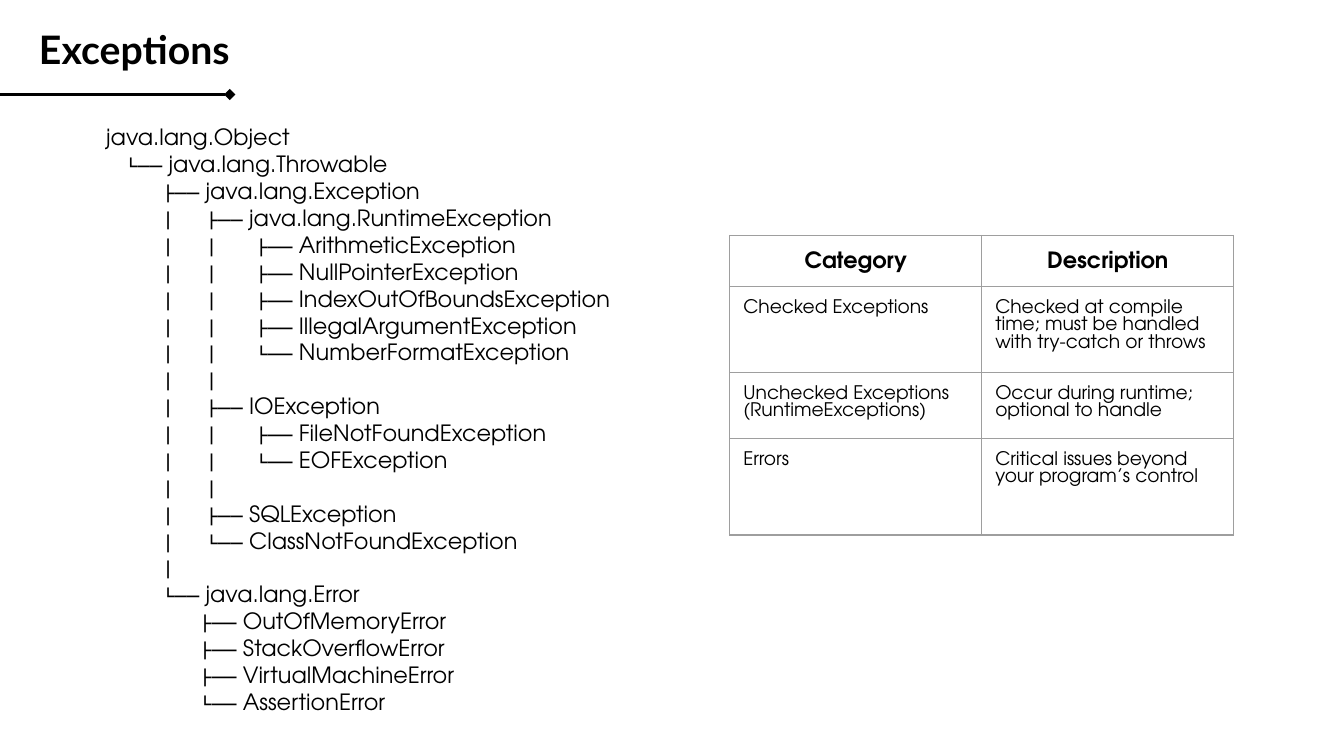
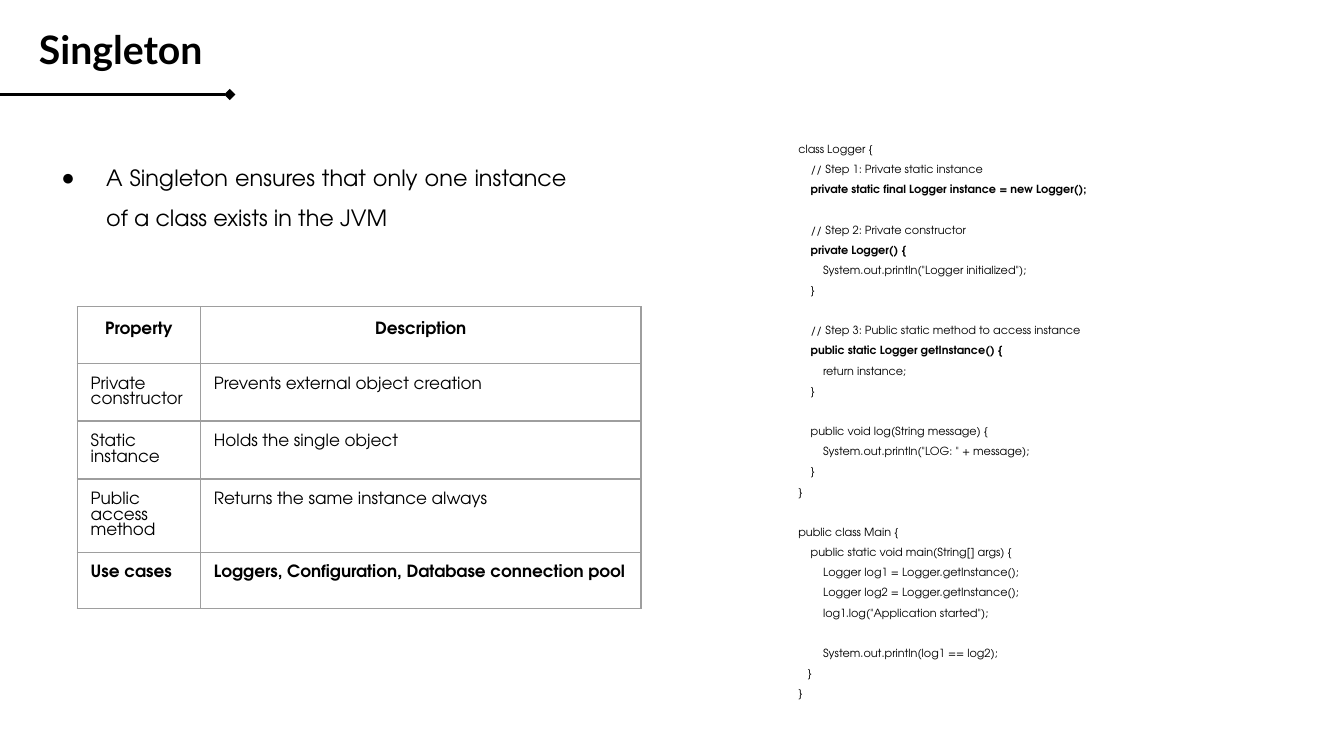
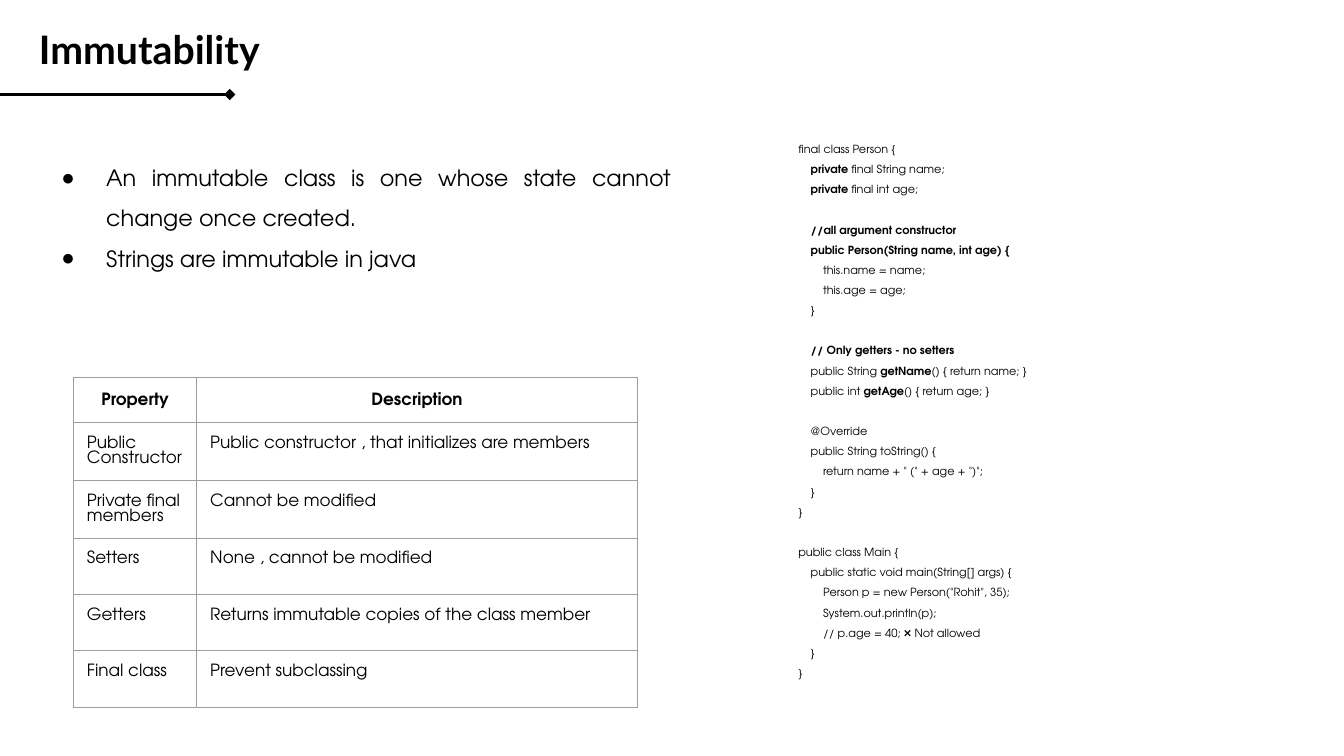
from lxml.etree import SubElement
from pptx import Presentation
from pptx.dml.color import RGBColor
from pptx.enum.shapes import MSO_CONNECTOR, MSO_SHAPE
from pptx.enum.text import MSO_ANCHOR, MSO_AUTO_SIZE, PP_ALIGN
from pptx.oxml import parse_xml
from pptx.oxml.ns import nsdecls, qn
from pptx.util import Pt

BLACK, WHITE, GRID = "000000", "FFFFFF", "9E9E9E"
TITLE_FONT, TEXT_FONT = "Lato", "TeX Gyre Adventor"
MARGIN = 20.9
INDENT = 36
RULE_Y = 50.6
CODE_LINE = 10.8

TREE = """\
java.lang.Object
   └── java.lang.Throwable
         ├── java.lang.Exception
         │     ├── java.lang.RuntimeException
         │     │      ├── ArithmeticException
         │     │      ├── NullPointerException
         │     │      ├── IndexOutOfBoundsException
         │     │      ├── IllegalArgumentException
         │     │      └── NumberFormatException
         │     │
         │     ├── IOException
         │     │      ├── FileNotFoundException
         │     │      └── EOFException
         │     │
         │     ├── SQLException
         │     └── ClassNotFoundException
         │
         └── java.lang.Error
               ├── OutOfMemoryError
               ├── StackOverflowError
               ├── VirtualMachineError
               └── AssertionError"""

# Text between asterisks is bold.
LOGGER_CODE = """\
class Logger {
    // Step 1: Private static instance
    *private static final Logger instance = new Logger();*

    // Step 2: Private constructor
    *private Logger() {*
        System.out.println("Logger initialized");
    }

    // Step 3: Public static method to access instance
    *public static Logger getInstance() {*
        return instance;
    }

    public void log(String message) {
        System.out.println("LOG: " + message);
    }
}

public class Main {
    public static void main(String[] args) {
        Logger log1 = Logger.getInstance();
        Logger log2 = Logger.getInstance();
        log1.log("Application started");

        System.out.println(log1 == log2);
   }
}"""

PERSON_CODE = """\
final class Person {
    *private *final String name;
    *private* final int age;

    *//all argument constructor*
    *public Person(String name, int age) {*
        this.name = name;
        this.age = age;
    }

    *// Only getters - no setters*
    public String *getName*() { return name; }
    public int *getAge*() { return age; }

    @Override
    public String toString() {
        return name + " (" + age + ")";
    }
}

public class Main {
    public static void main(String[] args) {
        Person p = new Person("Rohit", 35);
        System.out.println(p);
        // p.age = 40; ❌ Not allowed
    }
}"""

TREE_PANEL = dict(box=(MARGIN, 66.2, 322.6, 324.7), inset=0, size=12,
                  fmt=dict(alignment=PP_ALIGN.LEFT, line_spacing=1.0))
CODE_PANEL = dict(box=(391.7, 65.5, 283, 329), inset=7.1, size=6,
                  fmt=dict(alignment=PP_ALIGN.JUSTIFY, line_spacing=1.5))
BODY_INSET = 14.5
PROPERTY_COLS = (66, 236)

SLIDES = [
    dict(title="Exceptions", panel=TREE_PANEL, text=TREE, bullets=[],
         table=dict(at=(391, 126.2), cols=(135, 135), rows=(26.6, 46.1, 35.3, 51.8),
                    head_size=12, size=10, cells=[
             ("Category", "Description"),
             ("Checked Exceptions",
              "Checked at compile time; must be handled with try-catch or throws"),
             ("Unchecked Exceptions (RuntimeExceptions)",
              "Occur during runtime; optional to handle"),
             ("Errors", "Critical issues beyond your program’s control")])),
    dict(title="Singleton", panel=CODE_PANEL, text=LOGGER_CODE,
         body=(MARGIN, 66.2, 283, 301),
         bullets=["A Singleton ensures that only one instance of a class exists in the JVM"],
         table=dict(at=(41.4, 164.4), cols=PROPERTY_COLS, rows=[30.2] * 5,
                    head_size=9, size=9, cells=[
             ("Property", "Description"),
             ("Private constructor", "Prevents external object creation"),
             ("Static instance", "Holds the single object"),
             ("Public access method", "Returns the same instance always"),
             ("*Use cases*", "*Loggers, Configuration, Database connection pool*")])),
    dict(title="Immutability", panel=CODE_PANEL, text=PERSON_CODE,
         body=(MARGIN, 66.2, 339, 106.6),
         bullets=["An immutable class is one whose state cannot change once created.",
                  "Strings are immutable in java"],
         table=dict(at=(39.4, 202.4), cols=PROPERTY_COLS, rows=[23.4] + [30.2] * 5,
                    head_size=9, size=9, cells=[
             ("Property", "Description"),
             ("Public Constructor", "Public constructor , that initializes are members"),
             ("Private final members", "Cannot be modified"),
             ("Setters", "None , cannot be modified"),
             ("Getters", "Returns immutable copies of the class member"),
             ("Final class", "Prevent subclassing")])),
]


def rgb(value):
    return RGBColor.from_string(value)


def write(p, text, size, fmt, font=TEXT_FONT):
    """Format the paragraph and add its runs, bold between asterisks."""
    for name, value in fmt.items():
        setattr(p, name, value)
    for i, part in enumerate(text.split("*")):
        if part:
            r = p.add_run()
            r.text = part
            r.font.color.rgb = rgb(BLACK)
            for name, value in dict(name=font, size=Pt(size), bold=i % 2 == 1).items():
                setattr(r.font, name, value)


prs = Presentation()
prs.slide_width, prs.slide_height = Pt(720), Pt(405)

for data in SLIDES:
    s = prs.slides.add_slide(prs.slide_layouts[1 if data["bullets"] else 5])

    # Title and its underline
    title = s.shapes.title
    title.left, title.top, title.width, title.height = Pt(MARGIN), Pt(17.1), Pt(540), Pt(28.1)
    tf = title.text_frame
    for name, value in dict(margin_left=0, margin_top=0, margin_right=Pt(7.2),
                            margin_bottom=Pt(7.2), word_wrap=True,
                            auto_size=MSO_AUTO_SIZE.NONE,
                            vertical_anchor=MSO_ANCHOR.MIDDLE).items():
        setattr(tf, name, value)
    write(tf.paragraphs[0], f"*{data['title']}*", 21,
          dict(alignment=PP_ALIGN.LEFT, line_spacing=0.9), TITLE_FONT)

    line = s.shapes.add_connector(MSO_CONNECTOR.STRAIGHT, 0, Pt(RULE_Y), Pt(123.1), Pt(RULE_Y))
    line.line.color.rgb = rgb(BLACK)
    line.line.width = Pt(1.5)
    SubElement(line.line._get_or_add_ln(), qn("a:tailEnd"), type="diamond")
    SubElement(line._element.spPr, qn("a:effectLst"))

    # Text areas: the tree or code panel, and the bullets
    panel = data["panel"]
    sp = s.shapes.add_shape(MSO_SHAPE.RECTANGLE, *[Pt(v) for v in panel["box"]])
    sp.shadow.inherit = False
    areas = [(sp, panel["inset"])]
    if data["bullets"]:
        body = s.placeholders[1]
        body.left, body.top, body.width, body.height = [Pt(v) for v in data["body"]]
        areas.append((body, BODY_INSET))
    for area, inset in areas:
        area.fill.solid()
        area.fill.fore_color.rgb = rgb(WHITE)
        area.line.fill.background()
        for name, value in dict(margin_left=0, margin_top=Pt(inset), margin_right=0,
                                margin_bottom=0, word_wrap=True,
                                auto_size=MSO_AUTO_SIZE.NONE,
                                vertical_anchor=MSO_ANCHOR.TOP).items():
            setattr(area.text_frame, name, value)

    tf = sp.text_frame
    gap = 0
    for i, text in enumerate(data["text"].split("\n")):
        if not text:
            gap = CODE_LINE
            continue
        p = tf.add_paragraph() if i else tf.paragraphs[0]
        p._p.get_or_add_pPr().set("marL", str(Pt(INDENT)))
        write(p, text, panel["size"], {**panel["fmt"], "space_before": Pt(gap)})
        gap = 0

    for i, text in enumerate(data["bullets"]):
        tf = body.text_frame
        p = tf.add_paragraph() if i else tf.paragraphs[0]
        write(p, text, 12, dict(alignment=PP_ALIGN.JUSTIFY, line_spacing=1.5, space_before=Pt(0)))
        pPr = p._p.get_or_add_pPr()
        pPr.set("marL", str(Pt(INDENT)))
        pPr.set("indent", str(Pt(-24)))
        SubElement(SubElement(pPr, qn("a:buClr")), qn("a:srgbClr"), val=BLACK)
        SubElement(pPr, qn("a:buChar"), char="●")

    # Table
    grid = data["table"]
    cols, rows = grid["cols"], grid["rows"]
    table = s.shapes.add_table(len(rows), len(cols), *[Pt(v) for v in grid["at"]],
                               Pt(sum(cols)), Pt(sum(rows))).table
    table.first_row = table.horz_banding = False
    for column, width in zip(table.columns, cols):
        column.width = Pt(width)
    for i, (row, height) in enumerate(zip(table.rows, rows)):
        row.height = Pt(height)
        for cell, text in zip(row.cells, grid["cells"][i]):
            for side in ("left", "top", "right", "bottom"):
                setattr(cell, f"margin_{side}", Pt(7.2))
            cell.fill.background()
            for n, tag in enumerate(("lnL", "lnR", "lnT", "lnB")):
                cell._tc.get_or_add_tcPr().insert(n, parse_xml(
                    f'<a:{tag} {nsdecls("a")} w="{Pt(0.75)}"><a:solidFill>'
                    f'<a:srgbClr val="{GRID}"/></a:solidFill></a:{tag}>'))
            p = cell.text_frame.paragraphs[0]
            if i == 0:
                write(p, f"*{text}*", grid["head_size"],
                      dict(alignment=PP_ALIGN.CENTER, line_spacing=1.15))
            else:
                write(p, text, grid["size"],
                      dict(alignment=PP_ALIGN.LEFT, line_spacing=1.0))

prs.save("out.pptx")
